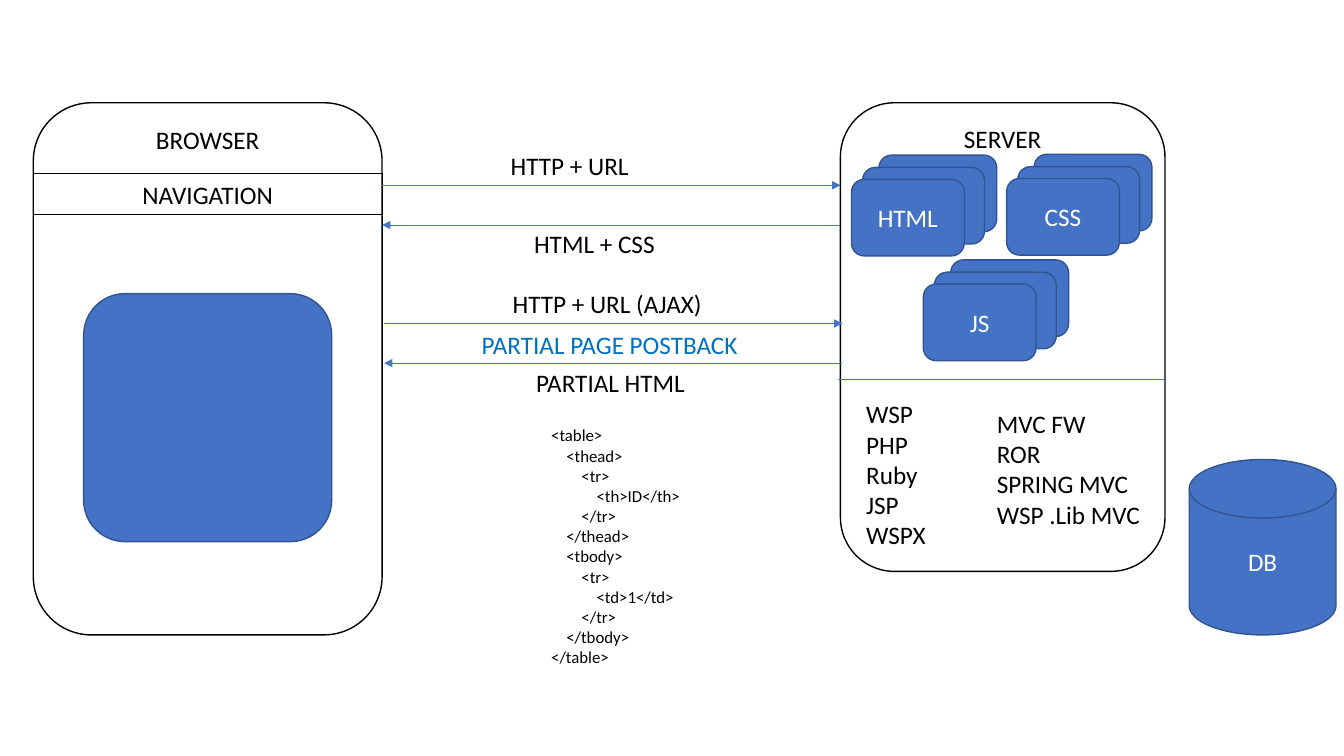
from dataclasses import dataclass

from lxml.etree import SubElement
from pptx import Presentation
from pptx.dml.color import RGBColor
from pptx.enum.shapes import MSO_CONNECTOR, MSO_SHAPE
from pptx.enum.text import MSO_ANCHOR, MSO_AUTO_SIZE, PP_ALIGN
from pptx.oxml.ns import qn
from pptx.util import Cm, Pt


@dataclass(frozen=True)
class Theme:
    font: str = "Calibri"
    body: float = 18
    code: float = 12
    black: str = "000000"
    white: str = "FFFFFF"
    blue: str = "4472C4"
    dark_blue: str = "325491"
    accent: str = "0070C0"
    outline: float = 1
    thin: float = 0.5


def write_text(tf, text, size, color, font, align=PP_ALIGN.LEFT,
               anchor=MSO_ANCHOR.TOP, wrap=True):
    """Write each line of text as its own paragraph."""
    tf.word_wrap = wrap
    tf.vertical_anchor = anchor
    for i, line in enumerate(text.split("\n")):
        p = tf.paragraphs[0] if i == 0 else tf.add_paragraph()
        p.alignment = align
        r = p.add_run()
        r.text = line
        r.font.name = font
        r.font.size = Pt(size)
        r.font.color.rgb = RGBColor.from_string(color)


class Diagram:
    def __init__(self, slide, theme):
        self.slide = slide
        self.theme = theme

    def shape(self, kind, x, y, w, h, text="", fill=None, line=None,
              color=None, weight=None, anchor=MSO_ANCHOR.MIDDLE, parent=None):
        t = self.theme
        shapes = (parent or self.slide).shapes
        sp = shapes.add_shape(kind, Cm(x), Cm(y), Cm(w), Cm(h))
        sp.shadow.inherit = False
        if fill:
            sp.fill.solid()
            sp.fill.fore_color.rgb = RGBColor.from_string(fill)
        else:
            sp.fill.background()
        sp.line.color.rgb = RGBColor.from_string(line or t.dark_blue)
        sp.line.width = Pt(weight or t.outline)
        if text:
            write_text(sp.text_frame, text, t.body, color or t.white, t.font,
                       align=PP_ALIGN.CENTER, anchor=anchor)
        return sp

    def panel(self, x, y, w, h, title):
        t = self.theme
        return self.shape(MSO_SHAPE.ROUNDED_RECTANGLE, x, y, w, h, title, fill=t.white,
                          line=t.black, color=t.black, anchor=MSO_ANCHOR.TOP)

    def card_stack(self, x, y, label):
        """Draw three overlapping cards; x and y locate the front one."""
        group = self.slide.shapes.add_group_shape()
        for dx, dy, w, text in ((0.69, -0.61, 2.97, ""), (0.28, -0.3, 3.07, ""),
                                (0, 0, 2.84, label)):
            self.shape(MSO_SHAPE.ROUNDED_RECTANGLE, x + dx, y + dy, w, 1.93, text,
                       fill=self.theme.blue, parent=group)

    def line(self, x1, y1, x2, y2, arrow=False):
        t = self.theme
        cxn = self.slide.shapes.add_connector(
            MSO_CONNECTOR.STRAIGHT, Cm(x1), Cm(y1), Cm(x2), Cm(y2))
        cxn.line.color.rgb = RGBColor.from_string(t.blue)
        cxn.line.width = Pt(t.thin)
        if arrow:
            SubElement(cxn.line._get_or_add_ln(), qn("a:tailEnd"), type="triangle")
        SubElement(cxn._element.spPr, qn("a:effectLst"))

    def text(self, x, y, w, h, text, size=None, color=None, wrap=False):
        t = self.theme
        tb = self.slide.shapes.add_textbox(Cm(x), Cm(y), Cm(w), Cm(h))
        write_text(tb.text_frame, text, size or t.body, color or t.black, t.font,
                   wrap=wrap)
        tb.text_frame.auto_size = MSO_AUTO_SIZE.SHAPE_TO_FIT_TEXT


TABLE_CODE = """\
    <table>
        <thead>
            <tr>
                <th>ID</th>
            </tr>
        </thead>
        <tbody>
            <tr>
                <td>1</td>
            </tr>
        </tbody>
    </table>"""


def main():
    prs = Presentation()
    prs.slide_width, prs.slide_height = Cm(33.87), Cm(19.05)
    theme = Theme()
    d = Diagram(prs.slides.add_slide(prs.slide_layouts[6]), theme)

    server = d.panel(21.18, 2.59, 8.18, 11.81, "SERVER\nWSP\nPHP\nRuby\nJSP\nWSPX")
    languages = server.text_frame.paragraphs[1:]
    languages[0].space_before = Pt(175)
    for p in languages:
        p.alignment = PP_ALIGN.LEFT
    for x, y, label in ((21.46, 4.52, "HTML"), (25.37, 4.5, "CSS"), (23.27, 7.16, "JS")):
        d.card_stack(x, y, label)
    d.line(21.13, 9.55, 29.36, 9.55)
    d.text(24.87, 10.16, 4.17, 3.33, "MVC FW\nROR\nSPRING MVC\nWSP .Lib MVC")

    d.panel(0.84, 2.59, 8.79, 13.41, "BROWSER")
    d.shape(MSO_SHAPE.RECTANGLE, 0.84, 4.38, 8.79, 1.03, "NAVIGATION", line=theme.black,
            color=theme.black, weight=theme.thin)
    d.shape(MSO_SHAPE.ROUNDED_RECTANGLE, 2.11, 7.4, 6.25, 6.25, fill=theme.blue)
    d.shape(MSO_SHAPE.FLOWCHART_MAGNETIC_DISK, 29.97, 11.58, 3.7, 4.42, "DB",
            fill=theme.blue)

    # Each exchange is a request with its response one centimetre below
    for left, right, y in ((9.63, 21.18, 4.67), (9.68, 21.23, 8.15)):
        d.line(left, y, right, y, arrow=True)
        d.line(right, y + 1, left, y + 1, arrow=True)
    for x, y, w, label, color in (
            (12.62, 3.66, 3.53, "HTTP + URL", theme.black),
            (13.21, 5.64, 3.58, "HTML + CSS", theme.black),
            (12.67, 7.14, 5.33, "HTTP + URL (AJAX)", theme.black),
            (11.89, 8.18, 7.01, "PARTIAL PAGE POSTBACK", theme.accent),
            (13.26, 9.12, 4.29, "PARTIAL HTML", theme.black)):
        d.text(x, y, w, 1.03, label, color=color)
    d.text(13.26, 10.59, 4.29, 6.93, TABLE_CODE, size=theme.code, wrap=True)

    prs.save("out.pptx")


if __name__ == "__main__":
    main()
